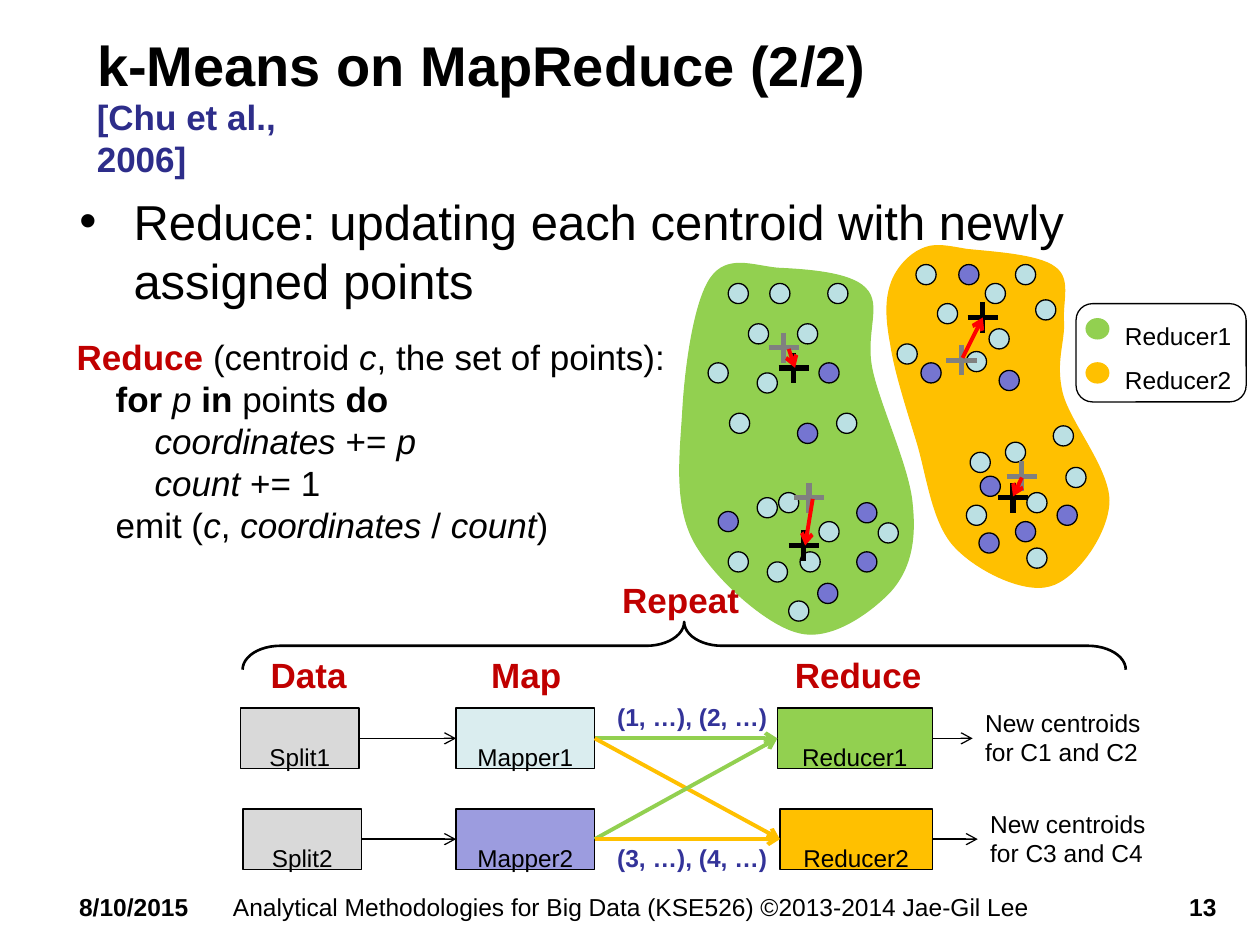
"""Build the slide on the reduce step of k-means on MapReduce."""
from pptx import Presentation
from pptx import util as u
from pptx.dml.color import RGBColor
from pptx.enum import shapes, text
from pptx.oxml import parse_xml
from pptx.oxml.ns import nsdecls, qn

THEME = dict(
    font="Arial", black="000000", red="C00000", blue="333399", navy="2D2D8A",
    green="92D050", gold="FFC000", grey="808080", split="D9D9D9",
    map1="DAEDEF", map2="9C9CDF", light="BBE0E3", dark="7575D1", move="FF0000",
    title=32, body=28, box=24, text=20, small=14, thin=0.75, mid=1.5, bold=2.25, thick=3)
T = THEME

TITLE = "k-Means on MapReduce (2/2)"
BODY = "Reduce: updating each centroid with newly assigned points"
CODE = [
    (0, [("Reduce ", "br"), ("(centroid ", ""), ("c", "i"), (", the set of points):", "")]),
    (1, [("for ", "b"), ("p ", "i"), ("in", "b"), (" points ", ""), ("do", "b")]),
    (2, [("coordinates", "i"), (" += ", ""), ("p", "i")]),
    (2, [("count", "i"), (" += 1", "")]),
    (1, [("emit (", ""), ("c", "i"), (", ", ""), ("coordinates", "i"), (" / ", ""),
         ("count", "i"), (")", "")])]
STEP = 0.31

NOTES = [
    ("8/10/2015", (0.53, 7.03, 1.33, 0.34), "small", "black", True),
    ("13", (9.34, 7.03, 0.54, 0.34), "small", "black", True),
    ("Analytical Methodologies for Big Data (KSE526) ©2013-2014 Jae-Gil Lee",
     (1.74, 7.03, 6.54, 0.34), "small", "black", False),
    ("(1, …), (2, …)", (4.8, 5.52, 1.54, 0.34), "small", "blue", True),
    ("(3, …), (4, …)", (4.8, 6.64, 1.54, 0.34), "small", "blue", True),
    ("New centroids for C1 and C2", (7.72, 5.57, 1.46, 0.57), "small", "black", False),
    ("New centroids for C3 and C4", (7.76, 6.37, 1.46, 0.57), "small", "black", False),
    ("Repeat", (4.84, 4.54, 1.26, 0.44), "text", "red", True),
    ("[Chu et al., 2006]", (0.67, 0.71, 2.36, 0.44), "text", "navy", True)]
HEADS, HEAD_AT, TABS = "Data\tMap\tReduce", (2.05, 5.14, 5.87, 0.44), (1.75, 4.16)

BLOBS = [
    ("gold", (7.04, 1.95, 1.76, 2.71), (7.07, 2.26), [
        (7.03, 2.38, 7.03, 2.52, 7.07, 2.73), (7.1, 2.94, 7.2, 3.25, 7.28, 3.51),
        (7.36, 3.78, 7.4, 4.14, 7.57, 4.33), (7.74, 4.52, 8.12, 4.71, 8.33, 4.65),
        (8.53, 4.6, 8.78, 4.26, 8.8, 4), (8.82, 3.74, 8.49, 3.36, 8.43, 3.12),
        (8.37, 2.87, 8.45, 2.71, 8.44, 2.55), (8.43, 2.38, 8.5, 2.21, 8.37, 2.12),
        (8.24, 2.02, 7.85, 2, 7.67, 1.98), (7.5, 1.95, 7.41, 1.93, 7.31, 1.98),
        (7.22, 2.02, 7.11, 2.13, 7.07, 2.26)]),
    ("green", (5.39, 2.09, 1.86, 2.94), (5.42, 3.26), [
        (5.4, 3.6, 5.35, 3.98, 5.5, 4.28), (5.65, 4.57, 6.08, 4.96, 6.34, 5.02),
        (6.6, 5.09, 6.92, 4.85, 7.07, 4.69), (7.22, 4.52, 7.27, 4.3, 7.24, 4.01),
        (7.22, 3.72, 6.98, 3.22, 6.92, 2.93), (6.86, 2.64, 7, 2.42, 6.87, 2.29),
        (6.75, 2.16, 6.38, 2.14, 6.17, 2.13), (5.97, 2.11, 5.77, 2.02, 5.64, 2.21),
        (5.51, 2.4, 5.44, 2.91, 5.42, 3.26)])]
DOTS = {
    "light": [
        (5.78, 2.25), (5.94, 2.57), (6.11, 2.25), (6.33, 2.57), (6.57, 2.25), (6.01, 2.96),
        (5.62, 2.88), (5.79, 3.28), (6.64, 3.28), (6.5, 4.14), (6.01, 3.95), (6.18, 3.91),
        (6.35, 4.38), (5.78, 4.38), (6.09, 4.46), (6.26, 4.77), (6.97, 4.15), (7.27, 2.1),
        (7.44, 2.41), (7.82, 2.25), (8.06, 2.1), (7.85, 2.61), (7.67, 2.79), (7.12, 2.73),
        (8.22, 2.38), (8.36, 3.38), (7.67, 4.01), (7.98, 3.51), (8.15, 3.91), (7.7, 3.59),
        (8.46, 3.71), (8.15, 4.35)],
    "dark": [
        (6.5, 2.88), (6.33, 3.36), (5.7, 4.06), (6.8, 4.38), (6.8, 3.99), (6.49, 4.63),
        (7.61, 2.1), (7.93, 2.94), (7.31, 2.88), (8.06, 4.14), (7.78, 3.78), (7.77, 4.23),
        (8.39, 4.01)]}
DOT, ARM = 0.16, 0.12
CROSSES = {
    "grey": [(6.22, 2.76), (6.42, 3.95), (8.11, 3.78), (7.63, 2.86)],
    "black": [(8.04, 3.95), (6.38, 4.33), (6.3, 2.92), (7.8, 2.52)]}
MOVES = [(6.26, 2.77, 6.31, 2.92), (6.45, 3.96, 6.39, 4.33),
         (7.64, 2.84, 7.8, 2.52), (8.11, 3.79, 8.04, 3.94)]

ROWS, HIGH = (5.62, 6.42), 0.48
BOXES = [
    ("Split1", 0, 1.91, 0.94, "split"), ("Split2", 1, 1.93, 0.94, "split"),
    ("Mapper1", 0, 3.62, 1.1, "map1"), ("Mapper2", 1, 3.62, 1.1, "map2"),
    ("Reducer1", 0, 6.17, 1.23, "green"), ("Reducer2", 1, 6.19, 1.21, "gold")]
LINKS = [
    ("Split1", "Mapper1", "black", "thin"), ("Split2", "Mapper2", "black", "thin"),
    ("Mapper1", "Reducer1", "green", "bold"), ("Mapper1", "Reducer2", "gold", "bold"),
    ("Mapper2", "Reducer1", "green", "bold"), ("Mapper2", "Reducer2", "gold", "bold")]
OUTS = [("Reducer1", 7.72), ("Reducer2", 7.76)]
KEYS = [("Reducer1", "green", 2.53), ("Reducer2", "gold", 2.88)]


def cm(val):
    return u.Cm(val * 2.54)


def area(vals):
    return [cm(v) for v in vals]


def put(obj, **fmt):
    for key, val in fmt.items():
        setattr(obj, key, val)


def place(shp, at):
    put(shp, **dict(zip(("left", "top", "width", "height"), area(at))))


def hue(name):
    return RGBColor.from_string(T[name])


def write(par, words, size, tone="black", bold=False, slant=False):
    run = par.add_run()
    run.text = words
    put(run.font, name=T["font"], size=u.Pt(T[size]), bold=bold, italic=slant)
    run.font.color.rgb = hue(tone)
    return run


def label(at):
    frame = sld.shapes.add_textbox(*area(at)).text_frame
    frame.word_wrap = True
    return frame


def paint(shp, fill, line="black", width="thin"):
    shp.shadow.inherit = False
    if fill:
        shp.fill.solid()
        shp.fill.fore_color.rgb = hue(fill)
    else:
        shp.fill.background()
    shp.line.color.rgb = hue(line)
    shp.line.width = u.Pt(T[width])
    return shp


def shape(kind, at, fill, line="black", width="thin"):
    return paint(sld.shapes.add_shape(kind, *area(at)), fill, line, width)


def link(home, ends, tone, width, head=True):
    con = home.add_connector(shapes.MSO_CONNECTOR.STRAIGHT, *area(ends))
    con.line.color.rgb = hue(tone)
    con.line.width = u.Pt(T[width])
    if head:
        con.line._get_or_add_ln().append(
            parse_xml(f'<a:tailEnd {nsdecls("a")} type="arrow"/>'))
    con._element.spPr.append(parse_xml(f'<a:effectLst {nsdecls("a")}/>'))
    return con


def curve(tone, at, start, bends):
    def node(tag, vals):
        pts = "".join(f'<a:pt x="{cm(x - at[0])}" y="{cm(y - at[1])}"/>'
                      for x, y in zip(vals[::2], vals[1::2]))
        return parse_xml(f'<a:{tag} {nsdecls("a")}>{pts}</a:{tag}>')

    form = sld.shapes.build_freeform(*area(start))
    form.add_line_segments([area(b[4:]) for b in bends], close=True)
    blob = paint(form.convert_to_shape(), tone, tone)
    place(blob, at)
    route = next(blob._element.iter(qn("a:path")))
    route[:] = [node("moveTo", start), *(node("cubicBezTo", b) for b in bends), route[-1]]
    route.set("w", str(cm(at[2])))
    route.set("h", str(cm(at[3])))
    return blob


prs = Presentation()
put(prs, slide_width=cm(10), slide_height=cm(7.5))
sld = prs.slides.add_slide(prs.slide_layouts[1])
KIND = shapes.MSO_SHAPE

for rank, blob in enumerate(BLOBS):
    sld.shapes._spTree.insert(2 + rank, curve(*blob)._element)

spots = [(sld.shapes.title, (0.67, 0.19, 8.68, 0.63), TITLE, "title"),
         (sld.placeholders[1], (0.53, 1.47, 9.15, 5.51), BODY, "body")]
for hold, at, words, size in spots:
    place(hold, at)
    par = hold.text_frame.paragraphs[0]
    par.alignment = text.PP_ALIGN.LEFT
    write(par, words, size, bold=size == "title")
sld.shapes.title.text_frame.vertical_anchor = text.MSO_ANCHOR.MIDDLE
props = par._p.get_or_add_pPr()
props.set("marL", str(cm(0.43)))
props.set("indent", str(cm(-0.43)))

frame = label((0.51, 2.61, 4.94, 2.46))
for num, (level, runs) in enumerate(CODE):
    par = frame.add_paragraph() if num else frame.paragraphs[0]
    par._p.get_or_add_pPr().set("marL", str(cm(STEP * level)))
    for words, mark in runs:
        write(par, words, "text", "red" if "r" in mark else "black", "b" in mark, "i" in mark)

par = label(HEAD_AT).paragraphs[0]
write(par, HEADS, "text", "red", True)
stops = "".join(f'<a:tab pos="{cm(t)}" algn="l"/>' for t in TABS)
par._p.get_or_add_pPr().append(parse_xml(f'<a:tabLst {nsdecls("a")}>{stops}</a:tabLst>'))

box = {}
for name, row, left, wide, tone in BOXES:
    box[name] = shape(KIND.RECTANGLE, (left, ROWS[row], wide, HIGH), tone)
    frame = box[name].text_frame
    frame.vertical_anchor = text.MSO_ANCHOR.TOP
    frame.paragraphs[0].alignment = text.PP_ALIGN.CENTER
    write(frame.paragraphs[0], name, "box").font._element.set("baseline", "-25000")
for src, dst, tone, width in LINKS:
    con = link(sld.shapes, (0, 0, 1, 1), tone, width)
    con.begin_connect(box[src], 3)
    con.end_connect(box[dst], 1)
for (src, end), top in zip(OUTS, ROWS):
    mid = top + HIGH / 2
    link(sld.shapes, (7.4, mid, end, mid), "black", "thin").begin_connect(box[src], 3)

for tone, pts in DOTS.items():
    for x, y in pts:
        shape(KIND.OVAL, (x, y, DOT, DOT), tone)
for tone, pts in CROSSES.items():
    for x, y in pts:
        home = sld.shapes.add_group_shape().shapes
        link(home, (x - ARM, y, x + ARM, y), tone, "thick", False)
        link(home, (x, y - ARM, x, y + ARM), tone, "thick", False)
for ends in MOVES:
    link(sld.shapes, ends, "move", "bold")

shape(KIND.ROUNDED_RECTANGLE, (8.54, 2.41, 1.35, 0.78), None)
frame = label((8.83, 2.38, 1.06, 0.81))
for num, (name, tone, top) in enumerate(KEYS):
    shape(KIND.OVAL, (8.62, top, 0.18, DOT), tone, tone)
    par = frame.add_paragraph() if num else frame.paragraphs[0]
    par.line_spacing = 1.5
    write(par, name, "small")

brace = shape(KIND.RIGHT_BRACE, (5.24, 1.62, 0.38, 7.01), None, width="mid")
brace.rotation = 270
brace.adjustments[0] = 0.79
for words, at, size, tone, bold in NOTES:
    par = label(at).paragraphs[0]
    write(par, words, size, tone, bold)
    if at[2] > 6:
        par.alignment = text.PP_ALIGN.CENTER

prs.save("out.pptx")
